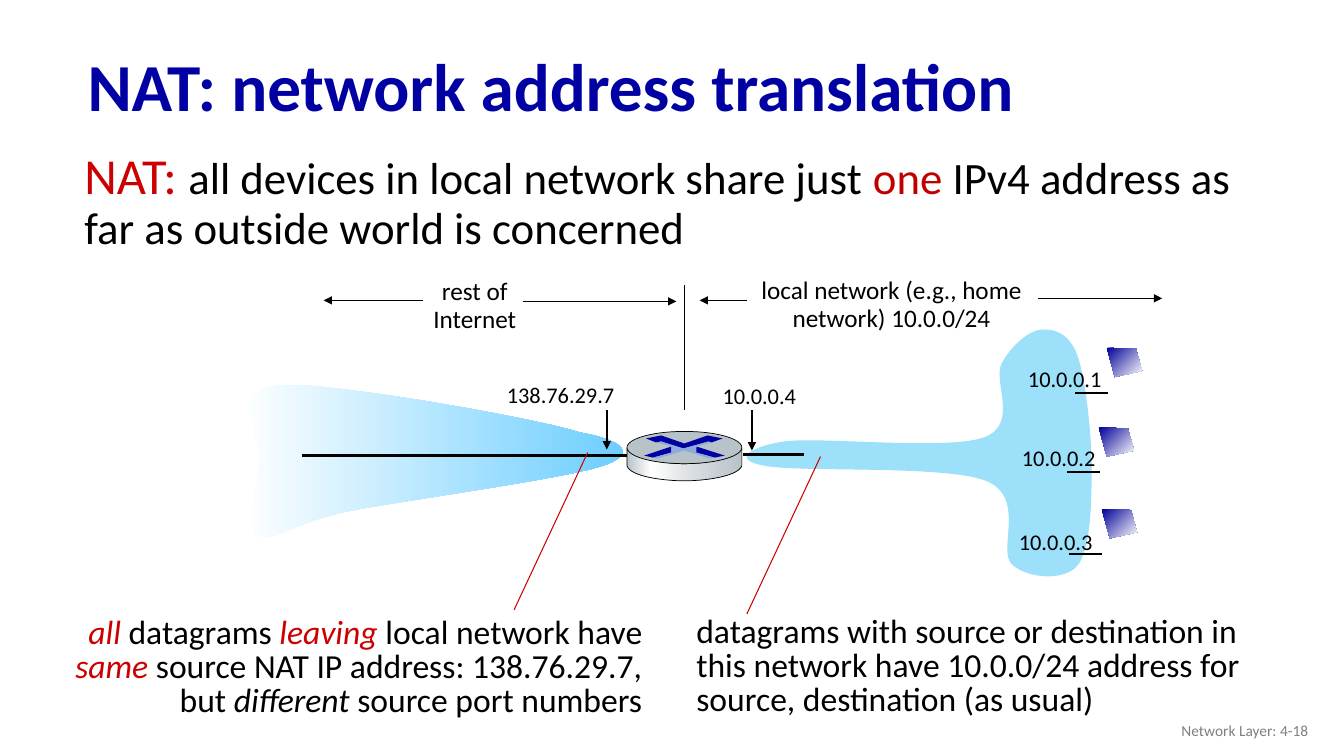
"""Build the slide on network address translation."""
from copy import deepcopy
from dataclasses import dataclass

from lxml import etree
from pptx import Presentation
from pptx.dml.color import RGBColor
from pptx.enum.shapes import MSO_CONNECTOR, MSO_SHAPE
from pptx.enum.text import MSO_ANCHOR, MSO_AUTO_SIZE, PP_ALIGN
from pptx.oxml.ns import qn
from pptx.util import Inches, Pt

STRAIGHT, ELLIPSE = MSO_CONNECTOR.STRAIGHT, MSO_SHAPE.OVAL
LEFT, CENTER, RIGHT = PP_ALIGN.LEFT, PP_ALIGN.CENTER, PP_ALIGN.RIGHT
TOP, MIDDLE = MSO_ANCHOR.TOP, MSO_ANCHOR.MIDDLE
GROW, FIXED = MSO_AUTO_SIZE.SHAPE_TO_FIT_TEXT, MSO_AUTO_SIZE.NONE


@dataclass(frozen=True)
class Theme:
    """Colours, font and type sizes of the slide."""
    font: str = "Calibri"
    black: str = "000000"
    navy: str = "0000A3"
    red: str = "CC0000"
    dark_red: str = "C00000"
    grey: str = "808080"
    cloud: str = "9CE0FA"
    router: str = "B8C2C9"
    router_cross: str = "8FAADC"
    internet_fade: tuple = ((0, "FFFFFF"), (1, "66CCFF"))
    host_fade: tuple = ((0, "000099"), (1, "FFFFFF"))
    router_fade: tuple = ((0, "B8C2C9"), (0.21, "FFFFFF"), (0.6, "D6DCE0"), (1, "B8C2C9"))
    title: int = 48
    term: int = 36
    lead: int = 32
    body: int = 24
    label: int = 18
    address: int = 16
    footer: int = 11


THEME = Theme()

LOCAL_CLOUD = [
    (7.78, 4.38), (8.14, 4.33, 9.39, 4.47, 9.76, 4.34), (10.12, 4.21, 9.84, 3.78, 9.94, 3.6),
    (10.04, 3.42, 10.21, 3.28, 10.33, 3.27), (10.45, 3.26, 10.61, 3.3, 10.69, 3.53),
    (10.77, 3.76, 10.83, 4.3, 10.83, 4.65), (10.83, 5, 10.82, 5.45, 10.69, 5.61),
    (10.56, 5.77, 10.19, 5.74, 10.04, 5.6), (9.89, 5.46, 10.19, 4.93, 9.78, 4.77),
    (9.37, 4.61, 7.91, 4.69, 7.58, 4.62), (7.25, 4.56, 7.44, 4.43, 7.78, 4.38)]
INTERNET_CLOUD = [
    (5.75, 4.29), (5.37, 4.17, 4.23, 3.97, 3.7, 3.9), (3.17, 3.83, 2.75, 3.77, 2.56, 3.88),
    (2.37, 3.98, 2.57, 4.31, 2.57, 4.55), (2.57, 4.79, 2.42, 5.22, 2.56, 5.31),
    (2.71, 5.39, 2.89, 5.19, 3.46, 5.07), (4.03, 4.96, 5.59, 4.75, 5.98, 4.62),
    (6.36, 4.49, 6.14, 4.36, 5.75, 4.29)]
ROUTER_SIDE = [
    (7.36, 4.45), (7.36, 4.62), (7.32, 4.73, 6.98, 4.77, 6.79, 4.77),
    (6.6, 4.77, 6.25, 4.73, 6.22, 4.62), (6.22, 4.58, 6.22, 4.49, 6.22, 4.45),
    (6.27, 4.55, 6.59, 4.6, 6.78, 4.6), (6.97, 4.6, 7.3, 4.56, 7.36, 4.45)]
ROUTER_ARROWS = [
    (7.02, 4.32), (7.17, 4.35), (7.06, 4.39), (7.03, 4.38), (6.78, 4.45),
    (6.56, 4.38), (6.51, 4.39), (6.41, 4.35), (6.56, 4.32), (6.79, 4.4)]
ROUTER_LEFT_FOOT = [(6.66, 4.43), (6.66, 4.49), (6.48, 4.54), (6.39, 4.52)]
ROUTER_RIGHT_FOOT = [(6.91, 4.43), (7.19, 4.52), (7.09, 4.54), (6.9, 4.49)]
ROUTER_CROSS = [
    (6.51, 4.39), (6.56, 4.38), (6.78, 4.45), (7.03, 4.38), (7.06, 4.39), (6.91, 4.43),
    (6.91, 4.49), (7.09, 4.54), (7.04, 4.55), (6.79, 4.47), (6.52, 4.55), (6.48, 4.54),
    (6.66, 4.49), (6.66, 4.43)]
HOST_OUTLINE = [(0, 0), (0.29, 0.01), (0.35, 0.23), (0.08, 0.29)]

HOSTS = [
    ("10.0.0.1", (10.1, 3.57), (10.98, 3.45), (10.67, 3.9)),
    ("10.0.0.2", (10.04, 4.36), (10.9, 4.24), (10.59, 4.68)),
    ("10.0.0.3", (10.01, 5.19), (10.93, 5.05), (10.61, 5.5))]


def paint(shape, fill, line=None, angle=0):
    """Give a shape a plain or gradient fill and an optional outline."""
    shape.shadow.inherit = False
    if isinstance(fill, str):
        shape.fill.solid()
        shape.fill.fore_color.rgb = RGBColor.from_string(fill)
    else:
        shape.fill.gradient()
        shape.fill.gradient_angle = angle
        stop_list = next(shape.element.iter(qn("a:gsLst")))
        for _ in fill[2:]:
            stop_list.append(deepcopy(stop_list[0]))
        for stop, (position, color) in zip(shape.fill.gradient_stops, fill):
            stop.position = position
            stop.color.rgb = RGBColor.from_string(color)
    if line:
        shape.line.color.rgb = RGBColor.from_string(line)
        shape.line.width = Pt(0.5)
    else:
        shape.line.fill.background()


def bend(shape, segments):
    """Merge the three straight steps of each curve segment into one cubic curve."""
    steps = iter(list(shape.element.iter(qn("a:lnTo"))))
    for segment in segments:
        first, *others = [next(steps) for _ in range(len(segment) // 2)]
        if others:
            curve = etree.Element(qn("a:cubicBezTo"))
            first.addprevious(curve)
            for step in (first, *others):
                curve.append(step[0])
                step.getparent().remove(step)


def add_outline(slide, outline, fill, line=None, angle=0):
    """Draw a closed outline of corners and cubic curves given in inches."""
    points = [(Inches(x), Inches(y)) for segment in outline
              for x, y in zip(segment[::2], segment[1::2])]
    builder = slide.shapes.build_freeform(*points[0], scale=1.0)
    builder.add_line_segments(points[1:], close=True)
    shape = builder.convert_to_shape()
    bend(shape, outline[1:])
    paint(shape, fill, line, angle)


def add_line(slide, start, end, width=0.75, color=THEME.black, arrow=False):
    """Draw a straight line, with an arrowhead at its end if asked."""
    line = slide.shapes.add_connector(STRAIGHT, *map(Inches, start + end))
    line.line.color.rgb = RGBColor.from_string(color)
    line.line.width = Pt(width)
    properties = line.element.spPr
    if arrow:
        etree.SubElement(properties.find(qn("a:ln")), qn("a:tailEnd"), type="triangle")
    etree.SubElement(properties, qn("a:effectLst"))


def add_text(slide, box, paragraphs, size, align=LEFT, spacing=1.0, color=THEME.black,
             wrap=True, anchor=TOP, indent=0, fit=GROW):
    """Write paragraphs made of (text, format overrides) runs."""
    frame = slide.shapes.add_textbox(*map(Inches, box)).text_frame
    frame.word_wrap, frame.auto_size, frame.vertical_anchor = wrap, fit, anchor
    frame.text = "\n".join("" for _ in paragraphs)
    for paragraph, runs in zip(frame.paragraphs, paragraphs):
        paragraph.alignment, paragraph.line_spacing = align, spacing
        if indent:
            properties = paragraph._p.get_or_add_pPr()
            properties.set("marL", str(Inches(indent)))
            properties.set("indent", "0")
        for text, style in runs:
            run = paragraph.add_run()
            run.text = text
            run.font.name = THEME.font
            run.font.size = Pt(style.get("size", size))
            run.font.bold = style.get("bold", False)
            run.font.italic = style.get("italic", False)
            run.font.color.rgb = RGBColor.from_string(style.get("color", color))


def add_address(slide, text, position, width=0.94):
    """Label an interface with its IP address."""
    add_text(slide, (*position, width, 0.39), [[(text, {})]], THEME.address, wrap=False)


def add_router(slide):
    """Draw the NAT router between the two networks."""
    add_outline(slide, ROUTER_SIDE, THEME.router_fade, THEME.black)
    top = slide.shapes.add_shape(ELLIPSE, *map(Inches, (6.22, 4.28, 1.14, 0.32)))
    paint(top, THEME.router, THEME.black)
    for outline in (ROUTER_ARROWS, ROUTER_RIGHT_FOOT, ROUTER_LEFT_FOOT):
        add_outline(slide, outline, THEME.navy)
    add_outline(slide, ROUTER_CROSS, THEME.router_cross)


def add_networks(slide):
    """Draw both networks, their hosts, addresses and extents."""
    add_outline(slide, LOCAL_CLOUD, THEME.cloud)
    add_outline(slide, INTERNET_CLOUD, THEME.internet_fade)
    for address, label_at, (left, top), (x, y) in HOSTS:
        add_address(slide, address, label_at)
        add_outline(slide, [(left + dx, top + dy) for dx, dy in HOST_OUTLINE],
                    THEME.host_fade, angle=315)
        add_line(slide, (x, y), (x + 0.32, y), 1.5)
    add_address(slide, "138.76.29.7", (4.93, 3.73), 1.28)
    add_address(slide, "10.0.0.4", (7.07, 3.74))
    for x, tip in ((6.02, 4.46), (7.46, 4.47)):
        add_line(slide, (x, 4.07), (x, tip), 1.5, arrow=True)
    for start, end, y in ((4.2, 3.21, 2.98), (5.19, 6.71, 2.99), (7.41, 6.94, 2.98), (10.3, 11.53, 2.96)):
        add_line(slide, (start, y), (end, y), arrow=True)
    add_line(slide, (6.79, 2.83), (6.79, 4.07))
    add_text(slide, (4.19, 2.72, 1.04, 0.67), [[("rest of", {})], [("Internet", {})]],
             THEME.label, CENTER, 0.9, wrap=False)
    add_text(slide, (7.31, 2.71, 3.07, 0.62),
             [[("local network (e.g., home network) 10.0.0/24", {})]], THEME.label, CENTER, 0.9)
    add_line(slide, (3, 4.52), (6.22, 4.52), 2)
    add_line(slide, (7.37, 4.51), (7.98, 4.51), 2)


def main():
    """Build and save the slide."""
    deck = Presentation()
    deck.slide_width, deck.slide_height = Inches(40 / 3), Inches(7.5)
    slide = deck.slides.add_slide(deck.slide_layouts[6])
    stress = {"color": THEME.red, "italic": True}
    add_networks(slide)
    add_router(slide)
    add_text(slide, (0.77, 0.31, 11.5, 1.17), [[("NAT: network address translation", {"bold": True})]],
             THEME.title, spacing=0.9, color=THEME.navy, anchor=MIDDLE, fit=FIXED)
    add_text(slide, (0.48, 1.45, 12.17, 1.13), [[
        ("NAT: ", {"size": THEME.term, "color": THEME.red}),
        ("all devices in local network share just ", {}), ("one", {"color": THEME.dark_red}),
        (" IPv4 address as far as outside world is concerned", {})]],
        THEME.lead, spacing=0.9, indent=0.26)
    add_text(slide, (0.42, 6.07, 6.05, 1.13), [[
        ("all ", stress), ("datagrams ", {}), ("leaving", stress), (" local network have ", {}),
        ("same", stress), (" source NAT IP address: 138.76.29.7, but ", {}),
        ("different", {"italic": True}), (" source port numbers", {})]], THEME.body, RIGHT, 0.85)
    add_text(slide, (6.81, 6.06, 5.99, 1.13), [[
        ("datagrams with source or destination in this network have 10.0.0/24 address for "
         "source, destination (as usual)", {})]], THEME.body, spacing=0.85)
    add_line(slide, (5.1, 6.05), (5.83, 4.49), color=THEME.red)
    add_line(slide, (7.41, 6.09), (8.14, 4.53), color=THEME.red)
    add_text(slide, (10.08, 7.05, 3, 0.4), [[("Network Layer: 4-18", {})]], THEME.footer, RIGHT,
             color=THEME.grey, anchor=MIDDLE, fit=FIXED)
    deck.save("out.pptx")


if __name__ == "__main__":
    main()
